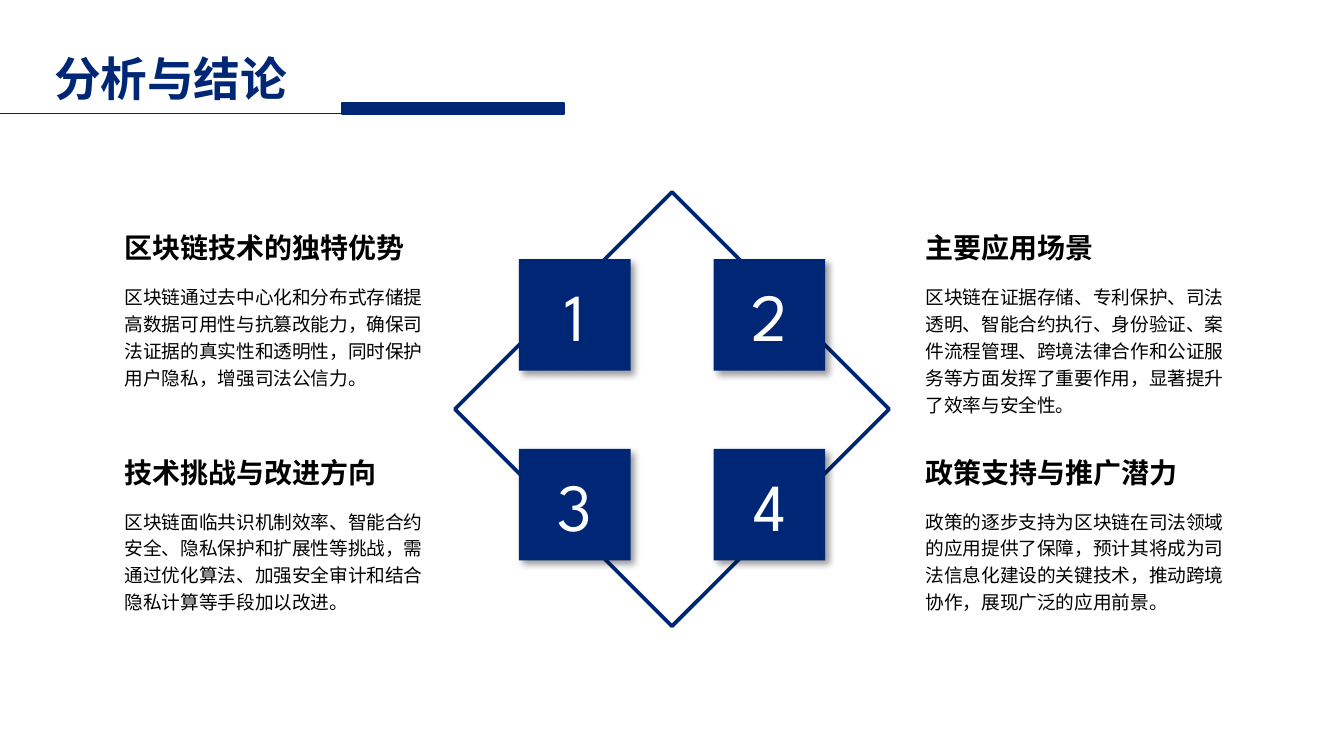
from lxml import etree
from pptx import Presentation
from pptx.dml.color import RGBColor
from pptx.enum.shapes import MSO_CONNECTOR, MSO_SHAPE
from pptx.enum.text import MSO_ANCHOR, MSO_AUTO_SIZE, PP_ALIGN
from pptx.oxml.ns import qn
from pptx.util import Pt

DIAMOND, ROUNDED, RECTANGLE = MSO_SHAPE.DIAMOND, MSO_SHAPE.ROUNDED_RECTANGLE, MSO_SHAPE.RECTANGLE
STRAIGHT = MSO_CONNECTOR.STRAIGHT
MIDDLE = MSO_ANCHOR.MIDDLE
FIT = MSO_AUTO_SIZE.SHAPE_TO_FIT_TEXT
CENTER, LEFT = PP_ALIGN.CENTER, PP_ALIGN.LEFT

COLORS = {"navy": "002776", "black": "000000", "white": "FFFFFF"}
FONT = "League Spartan"
FORMATS = {
    "title": {"size": Pt(25), "bold": True, "name": FONT},
    "heading": {"size": Pt(15), "bold": True, "name": FONT},
    "body": {"size": Pt(10), "name": FONT},
    "number": {"size": Pt(36), "name": FONT},
}
SQUARE = 59.8
SQUARE_LEFTS = (278, 382.3)
SQUARE_TOPS = (138.8, 240.5)
TEXT_LEFTS = (59.8, 488.9)
HEADING_TOPS = (120.2, 240.4)
BODY_OFFSET = 27.1
BODY_WIDTH = 177.8
TOPICS = [
    ("区块链技术的独特优势", 166.3, 64,
     "区块链通过去中心化和分布式存储提高数据可用性与抗篡改能力，确保司法证据的真实性和透明性，同时保护用户隐私，增强司法公信力。"),
    ("主要应用场景", 105.1, 78.5,
     "区块链在证据存储、专利保护、司法透明、智能合约执行、身份验证、案件流程管理、跨境法律合作和公证服务等方面发挥了重要作用，显著提升了效率与安全性。"),
    ("技术挑战与改进方向", 151.2, 64,
     "区块链面临共识机制效率、智能合约安全、隐私保护和扩展性等挑战，需通过优化算法、加强安全审计和结合隐私计算等手段加以改进。"),
    ("政策支持与推广潜力", 151.2, 64,
     "政策的逐步支持为区块链在司法领域的应用提供了保障，预计其将成为司法信息化建设的关键技术，推动跨境协作，展现广泛的应用前景。"),
]


def color(name):
    """Return the named palette colour."""
    return RGBColor.from_string(COLORS[name])


def write_text(shape, text, style, color_name, alignment=LEFT, spacing=None):
    """Put one formatted paragraph into a shape."""
    paragraph = shape.text_frame.paragraphs[0]
    paragraph.alignment = alignment
    paragraph.line_spacing = spacing
    run = paragraph.add_run()
    run.text = text
    for attribute, value in FORMATS[style].items():
        setattr(run.font, attribute, value)
    run.font.color.rgb = color(color_name)


def add_text(slide, box, text, style, color_name="black", wrap=False, **layout):
    """Add a text box that grows with its text."""
    shape = slide.shapes.add_textbox(*map(Pt, box))
    shape.text_frame.word_wrap = wrap
    shape.text_frame.auto_size = FIT
    write_text(shape, text, style, color_name, **layout)


def add_block(slide, kind, box, filled=True, line_width=None):
    """Add a flat navy shape, filled or outlined."""
    shape = slide.shapes.add_shape(kind, *map(Pt, box))
    shape.shadow.inherit = False
    if filled:
        shape.fill.solid()
        shape.fill.fore_color.rgb = color("navy")
    else:
        shape.fill.background()
    if line_width:
        shape.line.color.rgb = color("navy")
        shape.line.width = Pt(line_width)
    else:
        shape.line.fill.background()
    return shape


def add_soft_shadow(shape):
    """Give a shape a soft shadow to the lower right."""
    effects = shape._element.spPr.find(qn("a:effectLst"))
    shadow = etree.SubElement(effects, qn("a:outerShdw"), blurRad=str(Pt(4)), dist=str(Pt(3)),
                              dir="2700000", algn="tl", rotWithShape="0")
    tint = etree.SubElement(shadow, qn("a:srgbClr"), val=COLORS["black"])
    etree.SubElement(tint, qn("a:alpha"), val="40000")


def add_number(slide, left, top, number):
    """Add a numbered square."""
    square = add_block(slide, ROUNDED, (left, top, SQUARE, SQUARE))
    square.adjustments[0] = 0
    add_soft_shadow(square)
    frame = square.text_frame
    frame.vertical_anchor = MIDDLE
    frame.margin_left = frame.margin_right = Pt(5)
    frame.margin_top = frame.margin_bottom = Pt(2.5)
    write_text(square, str(number), "number", "white", CENTER)


def add_topic(slide, left, top, heading, heading_width, body_height, body):
    """Add a heading with its paragraph below."""
    add_text(slide, (left, top + BODY_OFFSET, BODY_WIDTH, body_height), body, "body",
             wrap=True, spacing=1.2)
    add_text(slide, (left, top, heading_width, 25.4), heading, "heading")


def add_header(slide):
    """Add the title with its rule and bar."""
    add_block(slide, RECTANGLE, (183.4, 55.3, 118.8, 5.6), line_width=1)
    rule = slide.shapes.add_connector(STRAIGHT, Pt(272), Pt(60.7), Pt(0), Pt(60.7))
    rule.line.color.rgb = color("navy")
    rule.line.width = Pt(0.75)
    etree.SubElement(rule._element.spPr, qn("a:effectLst"))
    add_text(slide, (20.9, 23, 141.1, 37.4), "分析与结论", "title", "navy", alignment=CENTER)


def main():
    """Build the slide and save it."""
    presentation = Presentation()
    presentation.slide_width, presentation.slide_height = Pt(720), Pt(405)
    slide = presentation.slides.add_slide(presentation.slide_layouts[6])
    add_block(slide, DIAMOND, (243.7, 102.9, 232.6, 232.6), filled=False, line_width=2)
    for index in range(len(TOPICS)):
        row, column = divmod(index, 2)
        add_number(slide, SQUARE_LEFTS[column], SQUARE_TOPS[row], index + 1)
    for index, topic in enumerate(TOPICS):
        row, column = divmod(index, 2)
        add_topic(slide, TEXT_LEFTS[column], HEADING_TOPS[row], *topic)
    add_header(slide)
    presentation.save("out.pptx")


if __name__ == "__main__":
    main()
